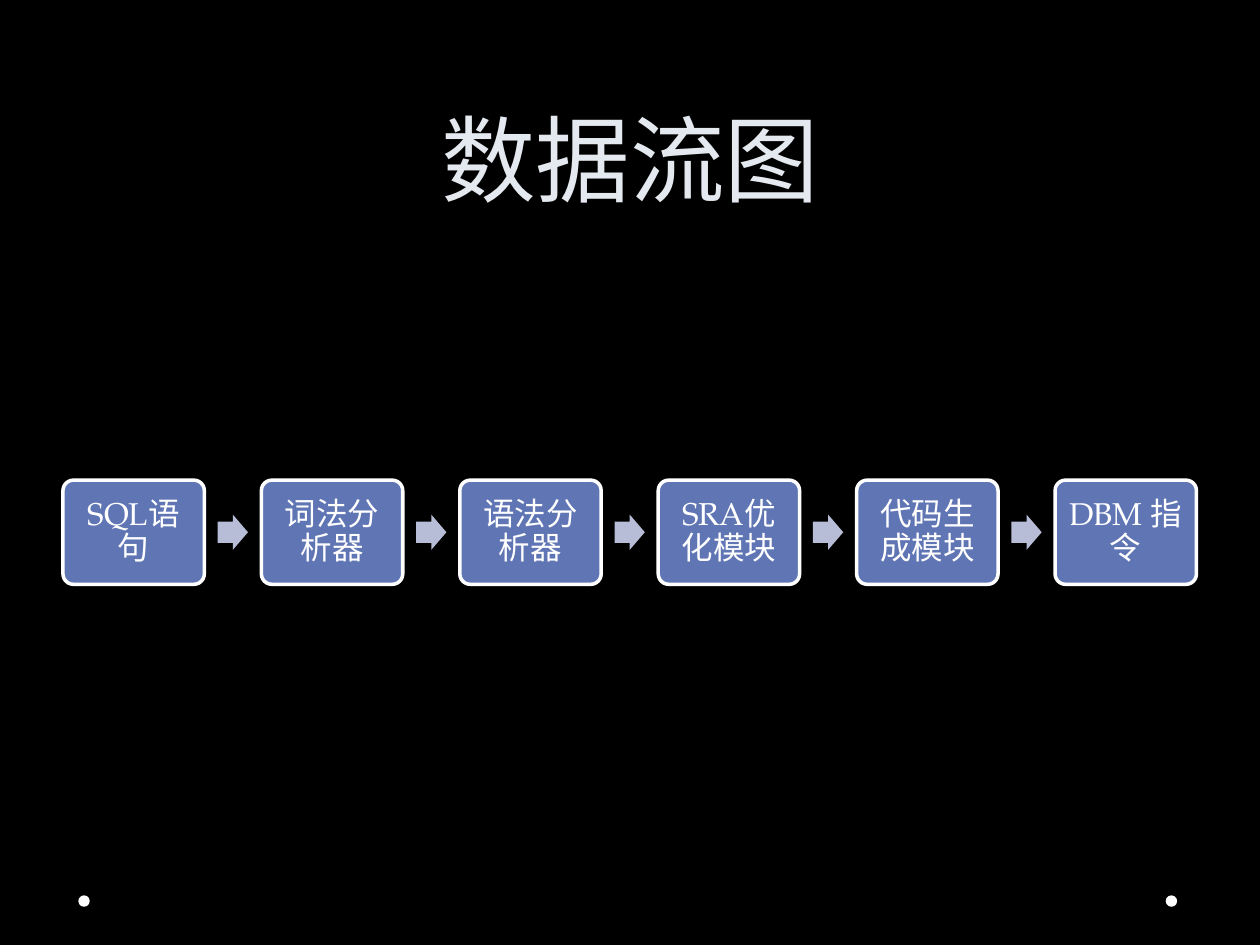
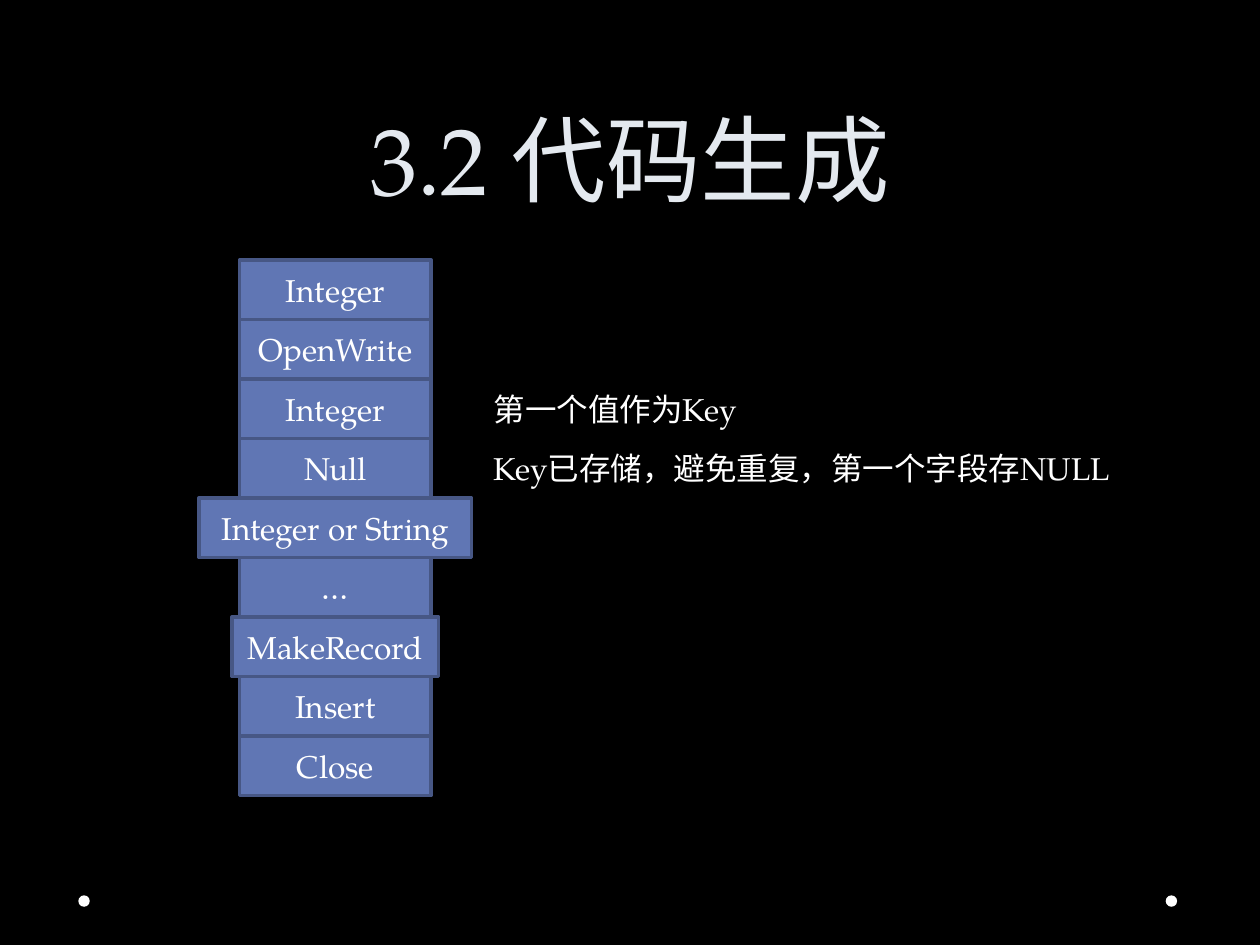
import pptx
import pptx.util
import pptx.dml.color
import pptx.enum.lang
import pptx.enum.shapes
import pptx.enum.text
from dataclasses import dataclass

Cm, Pt = pptx.util.Cm, pptx.util.Pt
SHAPE = pptx.enum.shapes.MSO_SHAPE
ALIGN = pptx.enum.text.PP_ALIGN
ANCHOR = pptx.enum.text.MSO_ANCHOR


@dataclass
class Theme:
    font: str = "TeX Gyre Pagella"
    title_size: int = 54
    title_spacing: int = 58
    body_size: int = 18
    line_width: int = 2
    background: str = "000000"
    title: str = "E4E9EF"
    white: str = "FFFFFF"
    block: str = "6076B4"
    block_edge: str = "475785"
    arrow: str = "B7BDD6"


theme = Theme()
rgb = pptx.dml.color.RGBColor.from_string


def write(shape, text, size, color, align, anchor):
    """Put one formatted run of text into a shape."""
    frame = shape.text_frame
    frame.word_wrap = True
    frame.auto_size = pptx.enum.text.MSO_AUTO_SIZE.NONE
    frame.vertical_anchor = anchor
    para = frame.paragraphs[0]
    para.alignment = align
    span = para.add_run()
    span.text = text
    span.font.name = theme.font
    span.font.size = Pt(size)
    span.font.color.rgb = rgb(color)
    span.font.language_id = pptx.enum.lang.MSO_LANGUAGE_ID.SIMPLIFIED_CHINESE
    return para


def draw(page, kind, left, top, width, height, fill, line=None):
    """Add a flat preset shape, measured in centimetres."""
    shape = page.shapes.add_shape(kind, Cm(left), Cm(top), Cm(width), Cm(height))
    shape.shadow.inherit = False
    shape.fill.solid()
    shape.fill.fore_color.rgb = rgb(fill)
    if line:
        shape.line.color.rgb = rgb(line)
        shape.line.width = Pt(theme.line_width)
    else:
        shape.line.fill.background()
    return shape


deck = pptx.Presentation()
deck.slide_width, deck.slide_height = Cm(25.4), Cm(19.05)
master = deck.slide_master
master.background.fill.solid()
master.background.fill.fore_color.rgb = rgb(theme.background)

# Pages with their titles
pages = []
for heading in ("数据流图", "3.2 代码生成"):
    page = deck.slides.add_slide(deck.slide_layouts.get_by_name("Title Only"))
    title = page.shapes.title
    title.left, title.top, title.width, title.height = Cm(1.27), Cm(0), Cm(22.86), Cm(4.45)
    para = write(title, heading, theme.title_size, theme.title, ALIGN.CENTER, ANCHOR.BOTTOM)
    para.line_spacing = Pt(theme.title_spacing)
    pages.append(page)
flow_page, code_page = pages

# Footer dots, moved to the master so that every page shows them
for left in (1.58, 23.5):
    dot = draw(flow_page, SHAPE.OVAL, left, 18.05, 0.23, 0.23, theme.white)
    master.element.cSld.spTree.append(dot.element)

# Data flow: equal steps joined by arrows
steps = ("SQL语句", "词法分析器", "语法分析器", "SRA优化模块", "代码生成模块", "DBM 指令")
step_pitch, step_width, step_height = 4.0, 2.85, 2.1
arrow_width, arrow_height = 0.61, 0.71
flow_left, flow_middle = 1.27, 10.73
for index, label in enumerate(steps):
    left = flow_left + index * step_pitch
    box = draw(flow_page, SHAPE.ROUNDED_RECTANGLE, left, flow_middle - step_height / 2,
               step_width, step_height, theme.block, theme.white)
    box.adjustments[0] = 0.1
    para = write(box, label, theme.body_size, theme.white, ALIGN.CENTER, ANCHOR.MIDDLE)
    para.line_spacing = 0.9
    frame = box.text_frame
    frame.margin_left = frame.margin_right = frame.margin_top = frame.margin_bottom = Cm(0.18)
    if index < len(steps) - 1:
        gap_middle = left + (step_width + step_pitch) / 2
        arrow = draw(flow_page, SHAPE.RIGHT_ARROW, gap_middle - arrow_width / 2,
                     flow_middle - arrow_height / 2, arrow_width, arrow_height, theme.arrow)
        arrow.adjustments[0] = 0.6

# Instruction stack: one centred column, some rows wider
instructions = ("Integer", "OpenWrite", "Integer", "Null", "Integer or String",
                "…", "MakeRecord", "Insert", "Close")
wide_rows = {"Integer or String": 5.49, "MakeRecord": 4.17}
stack_middle, stack_top, row_height, row_width = 6.76, 5.24, 1.2, 3.86
for index, label in enumerate(instructions):
    width = wide_rows.get(label, row_width)
    box = draw(code_page, SHAPE.RECTANGLE, stack_middle - width / 2,
               stack_top + index * row_height, width, row_height,
               theme.block, theme.block_edge)
    write(box, label, theme.body_size, theme.white, ALIGN.CENTER, ANCHOR.MIDDLE)

# Remarks beside their rows
remarks = ((2, 7.39, "第一个值作为Key"), (3, 14.4, "Key已存储，避免重复，第一个字段存NULL"))
remark_height = 1.02
for row, width, text in remarks:
    top = stack_top + row * row_height + (row_height - remark_height) / 2
    box = code_page.shapes.add_textbox(Cm(9.7), Cm(top), Cm(width), Cm(remark_height))
    write(box, text, theme.body_size, theme.white, ALIGN.LEFT, ANCHOR.TOP)

deck.save("out.pptx")
